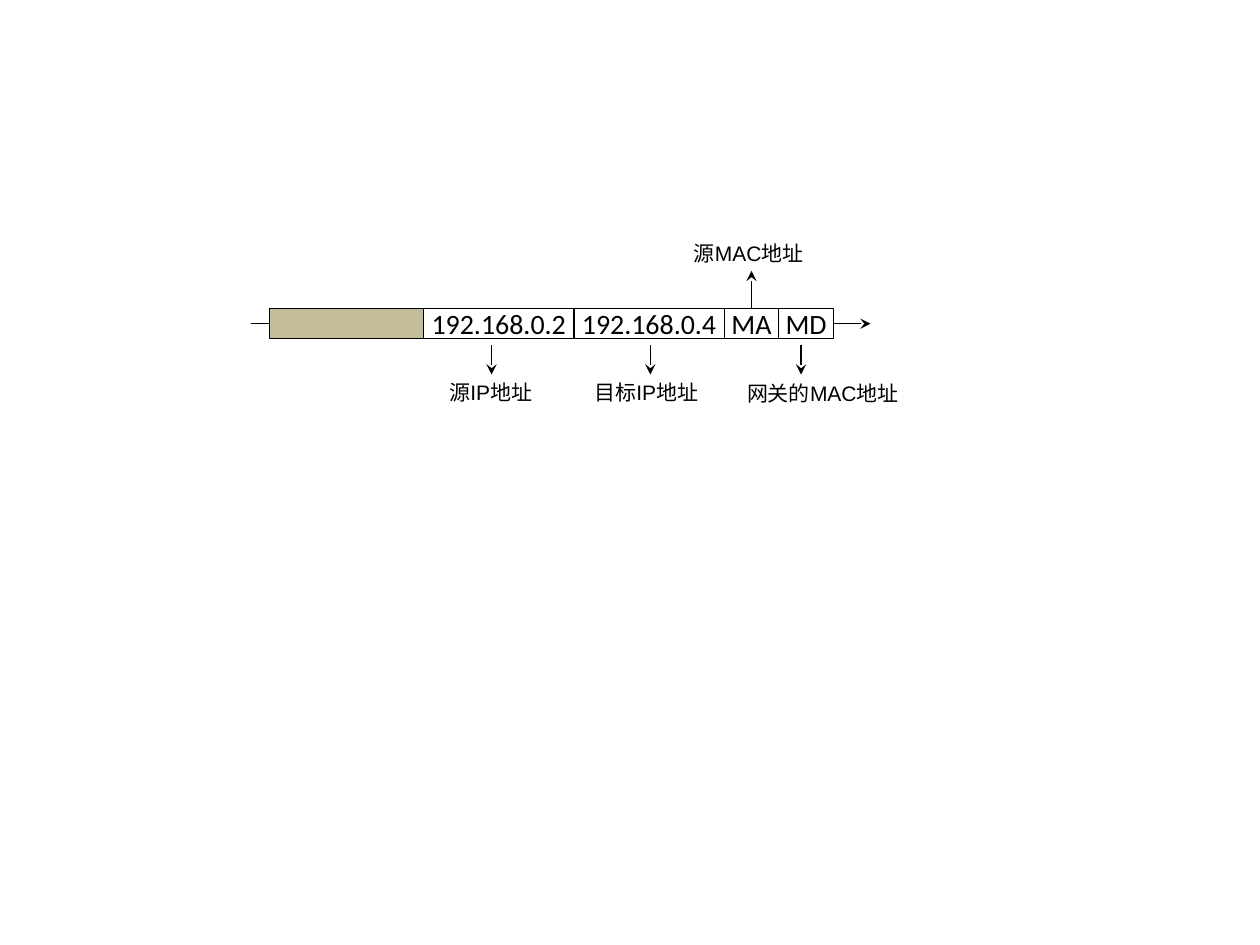
from dataclasses import dataclass

from lxml import etree
from pptx import Presentation
from pptx import util as u
from pptx.dml.color import RGBColor
from pptx.enum import shapes, text
from pptx.oxml import ns

COLORS = {"ink": "000000", "payload": "C4BD97", "field": "FFFFFF"}
PACKET_LEFT, PACKET_TOP, PACKET_HEIGHT = 5.44, 6.22, 0.61
PACKET_MIDDLE = PACKET_TOP + PACKET_HEIGHT / 2


@dataclass
class Field:
    value: str
    width: float
    fill: str = "field"


@dataclass
class Label:
    caption: str
    left: float
    top: float
    width: float


FIELDS = [
    Field("", 3.1, "payload"),
    Field("192.168.0.2", 3.03),
    Field("192.168.0.4", 3.03),
    Field("MA", 1.1),
    Field("MD", 1.1),
]
LABELS = [
    Label("源MAC地址", 13.74, 4.72, 2.74),
    Label("源IP地址", 8.81, 7.52, 2.21),
    Label("目标IP地址", 11.73, 7.52, 2.62),
    Label("网关的MAC地址", 14.81, 7.54, 3.61),
]
LOWER_ARROWS = [9.91, 13.11, 16.15]  # source IP, target IP, gateway MAC


def rgb(name: str) -> RGBColor:
    return RGBColor.from_string(COLORS[name])


def style_run(paragraph, size: float, font: str) -> None:
    for run in paragraph.runs:
        run.font.size = u.Pt(size)
        run.font.name = font
        run.font.color.rgb = rgb("ink")


def draw_arrow(slide, x1: float, y1: float, x2: float, y2: float):
    arrow = slide.shapes.add_connector(
        shapes.MSO_CONNECTOR.STRAIGHT, u.Cm(x1), u.Cm(y1), u.Cm(x2), u.Cm(y2))
    arrow.line.color.rgb = rgb("ink")
    arrow.line.width = u.Pt(0.75)
    etree.SubElement(arrow.line._get_or_add_ln(), ns.qn("a:tailEnd"), type="stealth")
    etree.SubElement(arrow._element.spPr, ns.qn("a:effectLst"))
    return arrow


def draw_field(slide, field: Field, left: float):
    box = slide.shapes.add_shape(
        shapes.MSO_SHAPE.RECTANGLE, u.Cm(left), u.Cm(PACKET_TOP),
        u.Cm(field.width), u.Cm(PACKET_HEIGHT))
    box.shadow.inherit = False
    box.fill.solid()
    box.fill.fore_color.rgb = rgb(field.fill)
    box.line.color.rgb = rgb("ink")
    box.line.width = u.Pt(0.75)
    if field.value:
        frame = box.text_frame
        frame.margin_left = frame.margin_right = 0
        frame.vertical_anchor = text.MSO_ANCHOR.MIDDLE
        frame.text = field.value
        frame.paragraphs[0].alignment = text.PP_ALIGN.CENTER
        style_run(frame.paragraphs[0], 16, "Calibri")
    return box


def draw_label(slide, label: Label) -> None:
    box = slide.shapes.add_textbox(
        u.Cm(label.left), u.Cm(label.top), u.Cm(label.width), u.Cm(0.76))
    frame = box.text_frame
    frame.word_wrap = True
    frame.auto_size = text.MSO_AUTO_SIZE.SHAPE_TO_FIT_TEXT
    frame.text = label.caption
    style_run(frame.paragraphs[0], 12, "Arial")


def main() -> None:
    prs = Presentation()
    prs.slide_width, prs.slide_height = u.Cm(25.4), u.Cm(19.05)
    slide = prs.slides.add_slide(prs.slide_layouts[6])

    # Direction of travel, behind the packet
    draw_arrow(slide, 5.05, PACKET_MIDDLE, 17.55, PACKET_MIDDLE)

    # Packet fields, side by side
    boxes = {}
    left = PACKET_LEFT
    for field in FIELDS:
        boxes[field.value] = draw_field(slide, field, left)
        left += field.width

    # Arrow up from the source MAC field
    source_mac_arrow = draw_arrow(slide, 15.15, PACKET_TOP, 15.15, 5.46)
    source_mac_arrow.begin_connect(boxes["MA"], 0)

    # Arrows down to the lower labels
    for x in LOWER_ARROWS:
        draw_arrow(slide, x, 6.95, x, 7.55)

    # Explanations
    for label in LABELS:
        draw_label(slide, label)

    prs.save("out.pptx")


if __name__ == "__main__":
    main()
